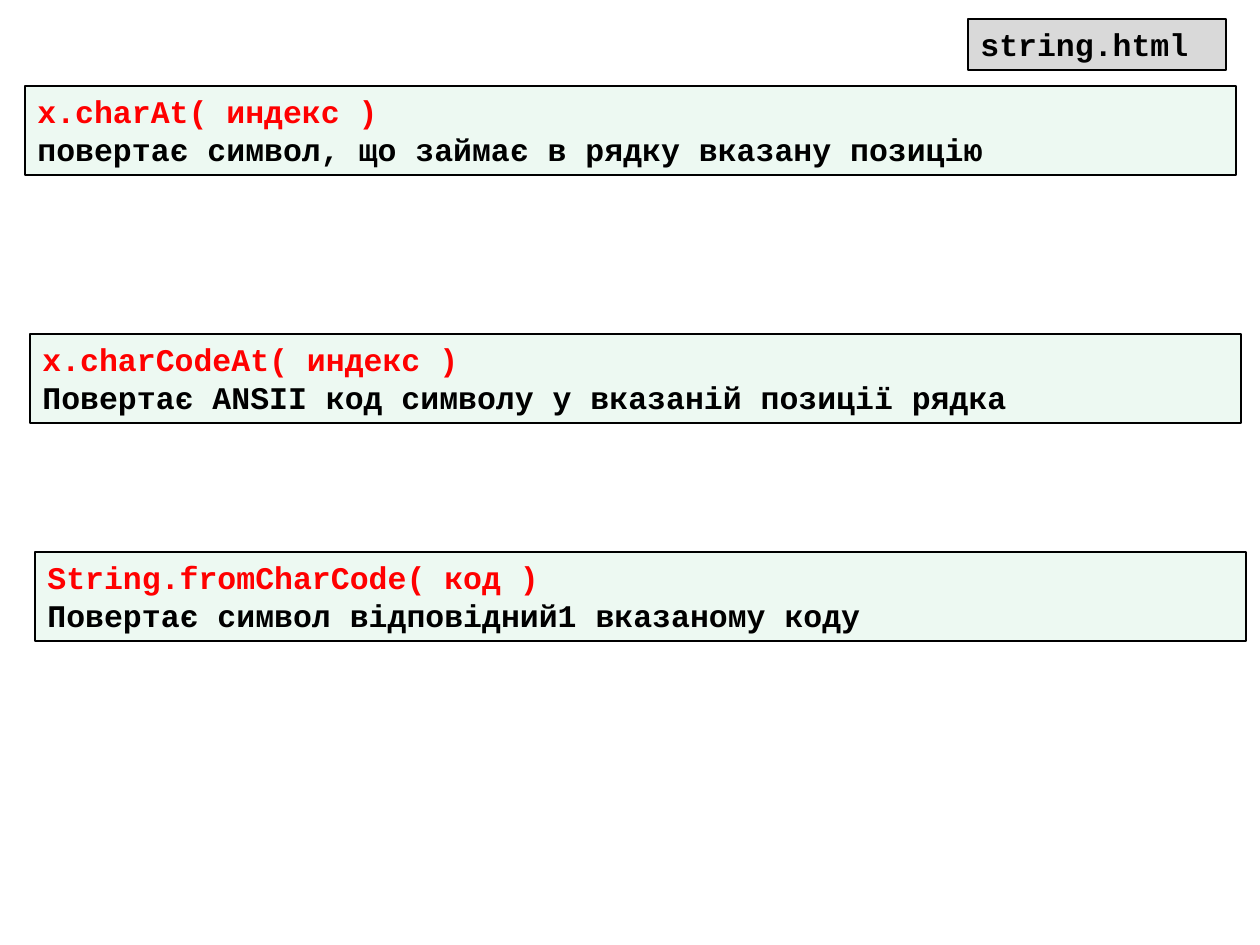
import pptx
import pptx.dml.color
import pptx.enum.shapes
import pptx.enum.text
import pptx.oxml.ns
import pptx.util
from lxml import etree

EMU_PER_PX = 914400 // 126
BLACK, RED, GREEN, GREY = "000000", "FF0000", "00B050", "D9D9D9"


def px(length):
    return pptx.util.Emu(length * EMU_PER_PX)


def color(hex_string):
    return pptx.dml.color.RGBColor.from_string(hex_string)


def add_text(paragraph, text, font_color=BLACK, size=18, font="Courier New", bold=True):
    paragraph.alignment = pptx.enum.text.PP_ALIGN.LEFT
    run = paragraph.add_run()
    run.text = text
    run.font.name = font
    run.font.size = pptx.util.Pt(size)
    run.font.bold = bold
    run.font.color.rgb = color(font_color)


def set_opacity(shape, percent):
    fill_color = shape.fill._xPr.find(".//" + pptx.oxml.ns.qn("a:srgbClr"))
    alpha = etree.SubElement(fill_color, pptx.oxml.ns.qn("a:alpha"))
    alpha.set("val", str(percent * 1000))


def add_box(slide, box, lines, fill, opacity=100):
    """Draw an outlined box holding one paragraph per (text, color) line."""
    shape = slide.shapes.add_shape(
        pptx.enum.shapes.MSO_SHAPE.RECTANGLE, *[px(length) for length in box])
    shape.shadow.inherit = False
    shape.fill.solid()
    shape.fill.fore_color.rgb = color(fill)
    if opacity < 100:
        set_opacity(shape, opacity)
    shape.line.color.rgb = color(BLACK)
    shape.line.width = pptx.util.Pt(1)
    frame = shape.text_frame
    frame.word_wrap = True
    frame.auto_size = pptx.enum.text.MSO_AUTO_SIZE.SHAPE_TO_FIT_TEXT
    frame.vertical_anchor = pptx.enum.text.MSO_ANCHOR.TOP
    for index, (text, font_color) in enumerate(lines):
        paragraph = frame.add_paragraph() if index else frame.paragraphs[0]
        add_text(paragraph, text, font_color=font_color)


def add_file_label(slide, box, name):
    add_box(slide, box, [(name, BLACK)], GREY)


def add_method(slide, box, signature, description):
    add_box(slide, box, [(signature, RED), (description, BLACK)], GREEN, opacity=7)


def main():
    presentation = pptx.Presentation()
    presentation.slide_width = pptx.util.Inches(10)
    presentation.slide_height = pptx.util.Inches(7.5)
    slide = presentation.slides.add_slide(presentation.slide_layouts[6])

    methods = [
        (25, 86, "x.charAt( индекс )",
         "повертає символ, що займає в рядку вказану позицію"),
        (30, 334, "x.charCodeAt( индекс )",
         "Повертає ANSII код символу у вказаній позиції рядка"),
        (35, 552, "String.fromCharCode( код )",
         "Повертає символ відповідний1 вказаному коду"),
    ]
    for left, top, signature, description in methods:
        add_method(slide, (left, top, 1211, 89), signature, description)
    add_file_label(slide, (968, 19, 258, 51), "string.html")

    presentation.save("out.pptx")


if __name__ == "__main__":
    main()
